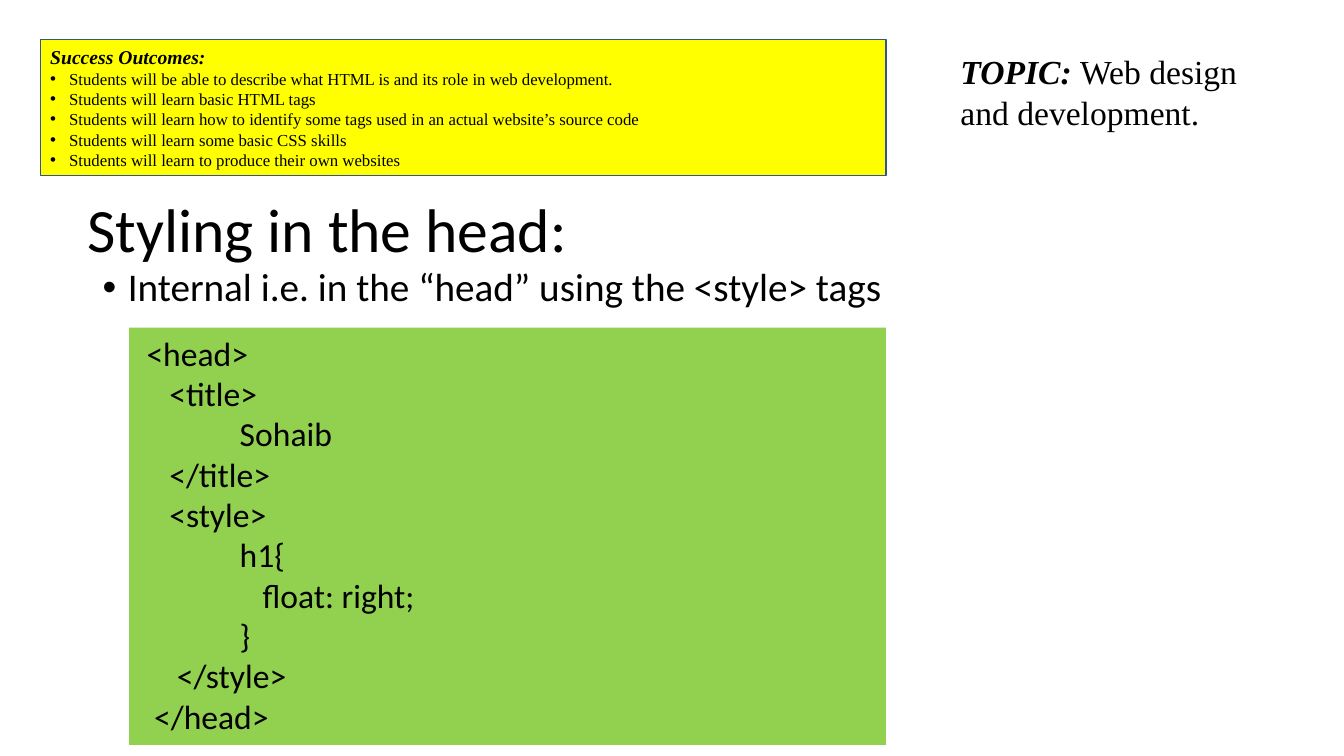
"""Build the slide on styling in the head of an HTML page."""
import pptx
import pptx.dml.color
import pptx.enum.shapes
import pptx.enum.text
import pptx.oxml
import pptx.oxml.ns
import pptx.util

Pt = pptx.util.Pt
ANCHOR = pptx.enum.text.MSO_ANCHOR


def rgb(value):
    return pptx.dml.color.RGBColor.from_string(value)


class Deck:
    ink = "000000"
    sans = "Calibri"
    serif = "Times New Roman"

    def __init__(self, prs):
        self.s = prs.slides.add_slide(prs.slide_layouts[6])

    def frame(self, sp, anchor):
        tf = sp.text_frame
        tf.word_wrap = True
        tf.vertical_anchor = anchor
        return tf

    def box(self, x, y, w, h, anchor=ANCHOR.TOP):
        sp = self.s.shapes.add_textbox(Pt(x), Pt(y), Pt(w), Pt(h))
        return self.frame(sp, anchor)

    def panel(self, x, y, w, h, fill, line=None, anchor=ANCHOR.TOP):
        rect = pptx.enum.shapes.MSO_SHAPE.RECTANGLE
        sp = self.s.shapes.add_shape(rect, Pt(x), Pt(y), Pt(w), Pt(h))
        sp.shadow.inherit = False
        sp.fill.solid()
        sp.fill.fore_color.rgb = rgb(fill)
        if line:
            sp.line.color.rgb = rgb(line)
            sp.line.width = Pt(0.75)
        else:
            sp.line.fill.background()
        return self.frame(sp, anchor)

    def font(self, r, size, name, strong=False):
        r.font.size = Pt(size)
        r.font.name = name
        r.font.color.rgb = rgb(self.ink)
        r.font.bold = r.font.italic = strong

    def para(self, tf, text, size, name, strong=False, indent=0, bullet=False, spacing=1):
        p = tf.paragraphs[0] if not tf.text else tf.add_paragraph()
        p.text = text
        p.alignment = pptx.enum.text.PP_ALIGN.LEFT
        p.line_spacing = spacing
        self.font(p.runs[0], size, name, strong)
        pPr = p._p.get_or_add_pPr()
        pPr.set("marL", str(Pt(indent)))
        if bullet:
            pPr.set("indent", str(-Pt(indent)))
            ns = pptx.oxml.ns.nsdecls("a")
            pPr.append(pptx.oxml.parse_xml(f'<a:buFont {ns} typeface="Arial"/>'))
            pPr.append(pptx.oxml.parse_xml(f'<a:buChar {ns} char="•"/>'))
        return p


def main():
    prs = pptx.Presentation()
    prs.slide_width, prs.slide_height = Pt(960), Pt(540)
    deck = Deck(prs)

    tf = deck.box(55.44, 131.76, 828, 69.12, ANCHOR.MIDDLE)
    deck.para(tf, "Styling in the head:", 44, deck.sans, spacing=0.9)

    tf = deck.box(66.24, 187.92, 828, 46.08)
    deck.para(tf, "Internal i.e. in the “head” using the <style> tags", 28, deck.sans,
              indent=18, bullet=True, spacing=0.9)

    tf = deck.box(678.96, 33.12, 224.64, 65.52)
    p = deck.para(tf, "TOPIC: ", 24, deck.serif, strong=True)
    r = p.add_run()
    r.text = "Web design and development."
    deck.font(r, 24, deck.serif)

    tf = deck.panel(28.8, 28.08, 604.08, 97.2, "FFFF00", "325491", ANCHOR.MIDDLE)
    deck.para(tf, "Success Outcomes:", 14, deck.serif, strong=True)
    outcomes = [
        "Students will be able to describe what HTML is and its role in web development.",
        "Students will learn basic HTML tags",
        "Students will learn how to identify some tags used in an actual website’s source code",
        "Students will learn some basic CSS skills",
        "Students will learn to produce their own websites",
    ]
    for outcome in outcomes:
        deck.para(tf, outcome, 12, deck.serif, indent=13.5, bullet=True)

    tf = deck.panel(92.16, 234, 540.72, 298.08, "92D050")
    tab, space = 72, 5.42
    code = [
        (space, "<head>"),
        (4 * space, "<title>"),
        (tab, "Sohaib"),
        (4 * space, "</title>"),
        (4 * space, "<style>"),
        (tab, "h1{"),
        (tab + 3 * space, "float: right;"),
        (tab, "}"),
        (5 * space, "</style>"),
        (2 * space, "</head>"),
    ]
    for indent, text in code:
        deck.para(tf, text, 24, deck.sans, indent=indent)

    prs.save("out.pptx")


if __name__ == "__main__":
    main()
